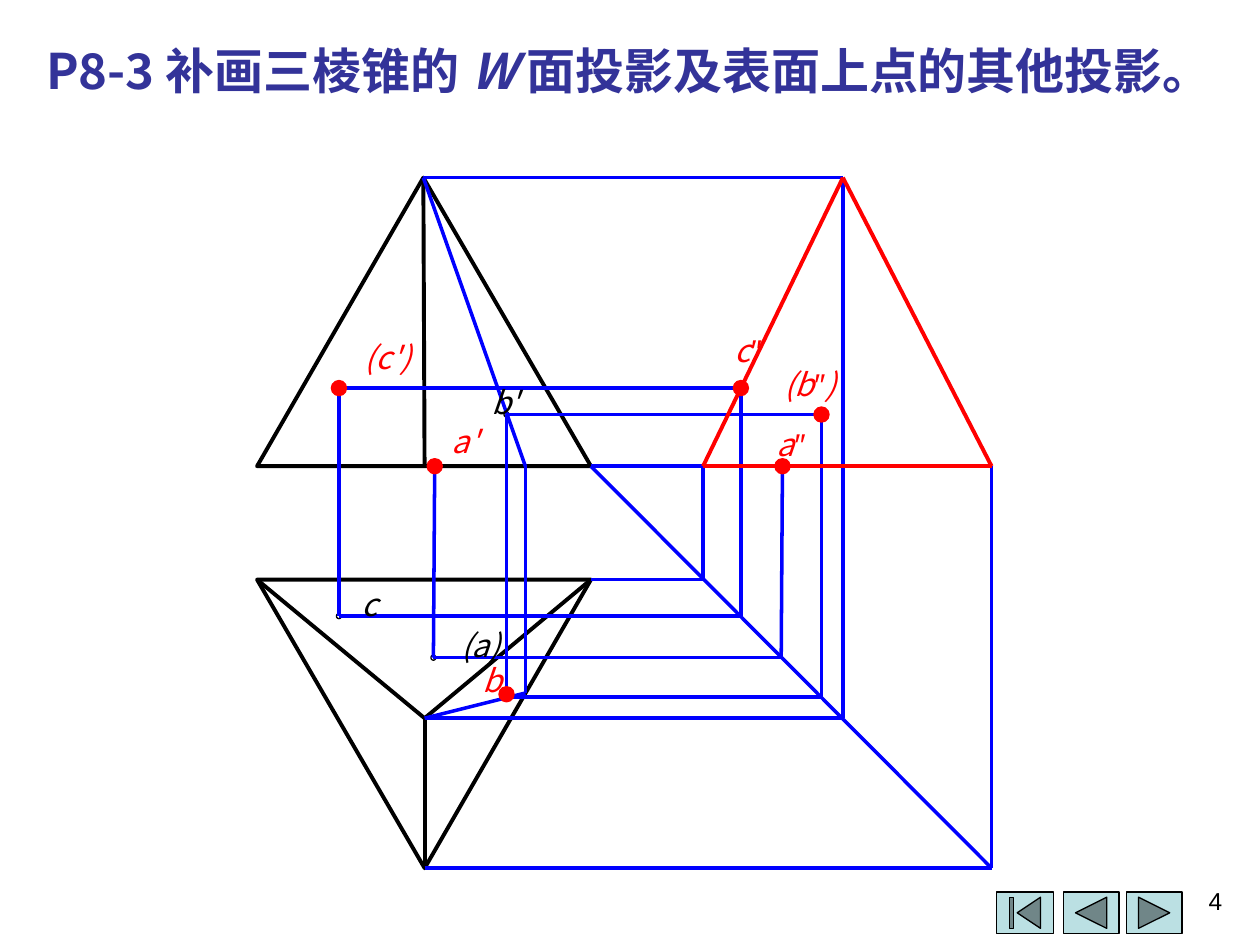
from pptx import Presentation
from pptx.dml.color import RGBColor
from pptx.enum.shapes import MSO_CONNECTOR, MSO_SHAPE
from pptx.enum.text import MSO_AUTO_SIZE, PP_ALIGN
from pptx.oxml.ns import qn
from pptx.util import Inches, Pt
from lxml.etree import SubElement

BLACK = RGBColor(0x00, 0x00, 0x00)
BLUE = RGBColor(0x00, 0x00, 0xFF)
RED = RGBColor(0xFF, 0x00, 0x00)
INDIGO = RGBColor(0x33, 0x33, 0x99)
PALE_TEAL = RGBColor(0xBB, 0xE0, 0xE3)
CJK_FONT = "Noto Sans CJK SC"
THICK = Pt(2.25)
HAIRLINE = Pt(0)


def add_run(p, text, italic=False, font=CJK_FONT):
    r = p.add_run()
    r.text = text
    r.font.name = font
    r.font.italic = italic
    SubElement(r.font._element, qn("a:ea")).set("typeface", font)


def add_text(s, box, size, color, align, margins=(0.1, 0.05), wrap=True):
    tf = s.shapes.add_textbox(*map(Inches, box)).text_frame
    tf.margin_left = tf.margin_right = Inches(margins[0])
    tf.margin_top = tf.margin_bottom = Inches(margins[1])
    tf.word_wrap = wrap
    tf.auto_size = MSO_AUTO_SIZE.NONE
    p = tf.paragraphs[0]
    p.alignment = align
    p.font.size = Pt(size)
    p.font.color.rgb = color
    return p


def add_title(s, left, top, width, height):
    p = add_text(s, (left, top, width, height), 28, INDIGO, PP_ALIGN.LEFT)
    p.font.bold = True
    add_run(p, "P8-3 补画三棱锥的")
    add_run(p, " W ", italic=True)
    add_run(p, "面投影及表面上点的其他投影。")


def add_line(s, start, end, color=BLUE, width=HAIRLINE):
    line = s.shapes.add_connector(MSO_CONNECTOR.STRAIGHT, *map(Inches, start + end))
    line.line.color.rgb = color
    line.line.width = width
    SubElement(line._element.spPr, qn("a:effectLst"))


def add_triangle(s, corners):
    points = [(Inches(x), Inches(y)) for x, y in corners]
    builder = s.shapes.build_freeform(*points[0])
    builder.add_line_segments(points[1:], close=True)
    sp = builder.convert_to_shape()
    sp.shadow.inherit = False
    sp.fill.background()
    sp.line.color.rgb = BLACK
    sp.line.width = THICK


def add_dot(s, center, diameter, color, filled):
    x, y = center
    box = (x - diameter / 2, y - diameter / 2, diameter, diameter)
    sp = s.shapes.add_shape(MSO_SHAPE.OVAL, *map(Inches, box))
    sp.shadow.inherit = False
    if filled:
        sp.fill.solid()
        sp.fill.fore_color.rgb = color
    else:
        sp.fill.background()
    sp.line.color.rgb = color
    sp.line.width = HAIRLINE


def add_label(s, box, text, color):
    p = add_text(s, box, 18, color, PP_ALIGN.CENTER, (0, 0), wrap=False)
    letter, mark, rest = text.partition("″")
    add_run(p, letter, italic=True)
    if mark:
        add_run(p, mark, font="Arial")
    if rest:
        add_run(p, rest, italic=True)


def add_projections(s, left, top):
    def at(x, y):
        return left + x, top + y

    front_apex, front_left, front_right = at(1.32, 0), at(0, 2.29), at(2.65, 2.29)
    plan_left, plan_right = at(0, 3.19), at(2.65, 3.19)
    plan_apex, plan_front = at(1.33, 4.29), at(1.33, 5.48)
    side_apex, side_back, side_front = at(4.65, 0), at(3.54, 2.29), at(5.83, 2.29)
    miter_back, miter_apex, miter_front = at(3.54, 3.19), at(4.65, 4.29), at(5.83, 5.48)
    a_front, a_plan, a_side, a_miter = at(1.41, 2.29), at(1.4, 3.81), at(4.17, 2.29), at(4.16, 3.81)
    b_front, b_plan, b_side, b_miter = at(1.98, 1.88), at(1.98, 4.1), at(4.48, 1.88), at(4.48, 4.12)
    c_front, c_plan, c_side, c_miter = at(0.65, 1.67), at(0.65, 3.48), at(3.84, 1.67), at(3.84, 3.48)
    helper_front, helper_plan = at(2.13, 2.29), at(2.13, 4.09)

    add_triangle(s, [front_right, front_apex, front_left])
    add_triangle(s, [plan_right, plan_left, plan_front])
    for corner in (plan_front, plan_left, plan_right):
        add_line(s, plan_apex, corner, BLACK, THICK)
    add_line(s, front_apex, at(1.33, 2.29), BLACK, THICK)

    for center in (c_plan, a_plan, b_front):
        add_dot(s, center, 0.04, BLACK, filled=False)

    for path in (
        (front_right, miter_front),
        (plan_right, miter_back, side_back),
        (plan_apex, miter_apex, side_apex, front_apex),
        (plan_front, miter_front, side_front),
        (front_right, side_front),
        (front_apex, helper_front, helper_plan, plan_apex),
        (a_front, a_plan, a_miter, a_side),
        (b_side, b_front, at(1.98, 4.12), b_miter, b_side),
        (c_front, c_plan, c_miter, c_side, c_front),
    ):
        for start, end in zip(path, path[1:]):
            add_line(s, start, end)

    side = (side_apex, side_back, side_front, side_apex)
    for start, end in zip(side, side[1:]):
        add_line(s, start, end, RED, THICK)

    for center in (a_front, a_side, b_plan, b_side, c_front, c_side):
        add_dot(s, center, 0.12, RED, filled=True)

    for text, x, y, width, color in (
        ("c", 0.82, 3.23, 0.15, BLACK),
        ("(a)", 1.55, 3.56, 0.45, BLACK),
        ("b'", 1.82, 1.63, 0.3, BLACK),
        ("(b″)", 4.12, 1.49, 0.54, RED),
        ("b", 1.79, 3.84, 0.15, RED),
        ("(c')", 0.74, 1.27, 0.6, RED),
        ("c″", 3.78, 1.22, 0.24, RED),
        ("a″", 4.12, 1.96, 0.24, RED),
        ("a'", 1.5, 1.94, 0.3, RED),
    ):
        add_label(s, at(x, y) + (width, 0.3), text, color)


def add_navigation(s, left, top, height):
    for kind, x, width in (
        (MSO_SHAPE.ACTION_BUTTON_BEGINNING, 0, 0.45),
        (MSO_SHAPE.ACTION_BUTTON_BACK_OR_PREVIOUS, 0.53, 0.44),
        (MSO_SHAPE.ACTION_BUTTON_FORWARD_OR_NEXT, 1.03, 0.44),
    ):
        sp = s.shapes.add_shape(kind, *map(Inches, (left + x, top, width, height)))
        sp.shadow.inherit = False
        sp.fill.solid()
        sp.fill.fore_color.rgb = PALE_TEAL
        sp.line.color.rgb = BLACK
        sp.line.width = Pt(0.75)


def add_page_number(s, left, top, width, height):
    p = add_text(s, (left, top, width, height), 14, BLACK, PP_ALIGN.RIGHT)
    add_run(p, "4", font="Arial")


def main():
    prs = Presentation()
    prs.slide_width = Inches(10)
    prs.slide_height = Inches(7.5)
    s = prs.slides.add_slide(prs.slide_layouts[6])
    add_navigation(s, 7.91, 7.08, 0.33)
    add_title(s, 0.27, 0.27, 9.4, 1.04)
    add_projections(s, 2.04, 1.41)
    add_page_number(s, 7.47, 6.98, 2.33, 0.52)
    prs.save("out.pptx")


if __name__ == "__main__":
    main()
